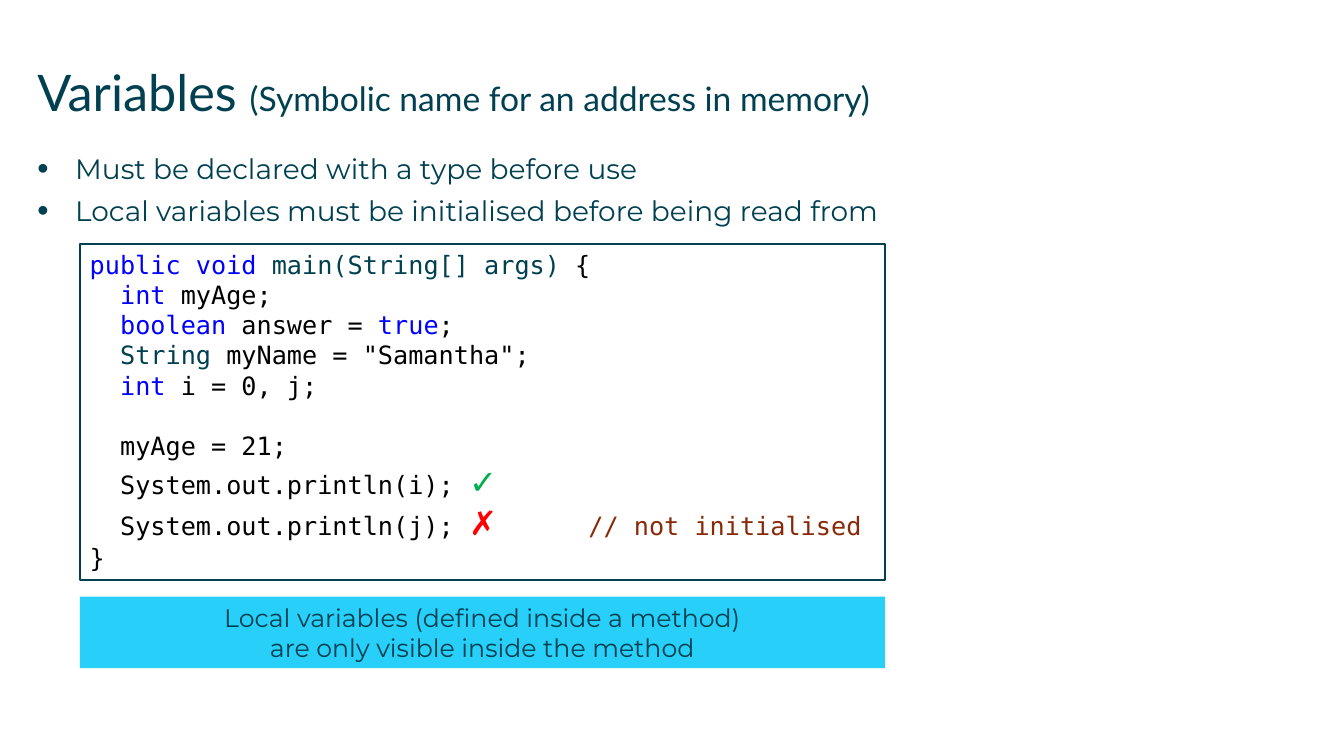
"""Build a slide on declaring and initialising variables in Java."""
from dataclasses import dataclass
from lxml import etree
from pptx import Presentation
from pptx import util as u
from pptx.dml import color
from pptx.enum import shapes, text
from pptx.oxml import ns

HUES = {"ink": "004050", "key": "0000FF", "code": "000000", "good": "00B050",
        "bad": "FF0000", "note": "882A08", "paper": "FFFFFF", "sky": "28CFF9"}
MONO, SIGN, SANS = "DejaVu Sans Mono", "Noto Sans Mono", "Montserrat"


@dataclass
class Bit:
    """A run of text with its format."""
    words: str
    hue: str = "code"
    size: float = 18
    font: str = MONO
    bold: bool = False


@dataclass
class Line:
    """A line of code with its indent, height and gap above."""
    bits: list[Bit]
    left: float = 21.68
    high: float = 21.6
    gap: float = 0


@dataclass
class Panel:
    """A rectangle given by top, height, fill and anchor."""
    top: float
    high: float
    fill: str
    anchor: text.MSO_ANCHOR


def tone(name: str) -> color.RGBColor:
    """Return the named colour."""
    return color.RGBColor.from_string(HUES[name])


def write(para, words: str, *, hue: str = "code", size: float = 18,
          font: str = MONO, bold: bool = False) -> None:
    """Add formatted text to a paragraph."""
    for at, part in enumerate(words.split("\n")):
        if at:
            para.add_line_break()
        run = para.add_run()
        run.text = part
        run.font.name, run.font.size, run.font.bold = font, u.Pt(size), bold
        run.font.color.rgb = tone(hue)


def add(para, tag: str, **attrs: str):
    """Append an element to the paragraph properties."""
    return etree.SubElement(para._p.get_or_add_pPr(), ns.qn(tag), attrs)


def place(item, left: float, top: float, wide: float, high: float) -> None:
    """Set the position and size of a shape."""
    item.left, item.top = u.Pt(left), u.Pt(top)
    item.width, item.height = u.Pt(wide), u.Pt(high)


def frame(item, anchor: text.MSO_ANCHOR, side: float = 0, edge: float = 0):
    """Set up the text frame of a shape and return it."""
    body = item.text_frame
    body.word_wrap, body.auto_size = True, text.MSO_AUTO_SIZE.NONE
    body.vertical_anchor = anchor
    body.margin_left = body.margin_right = u.Pt(side)
    body.margin_top = body.margin_bottom = u.Pt(edge)
    return body


def paras(body, count: int) -> list:
    """Return the given number of paragraphs in a text frame."""
    return [body.paragraphs[0]] + [body.add_paragraph() for _ in range(count - 1)]


def box(slide, panel: Panel):
    """Draw a panel and return it."""
    item = slide.shapes.add_shape(shapes.MSO_SHAPE.RECTANGLE, 0, 0, 0, 0)
    place(item, 57, panel.top, 575, panel.high)
    item.shadow.inherit = False
    item.fill.solid()
    item.fill.fore_color.rgb = tone(panel.fill)
    item.line.fill.background()
    frame(item, panel.anchor, 7.2, 3.6)
    return item


def key(words: str) -> Bit:
    """Return a Java keyword."""
    return Bit(words, "key")


def mark(sign: str, hue: str) -> Bit:
    """Return a tick or a cross."""
    return Bit(sign, hue, 24, SIGN, True)


CODE = [
    Line([key("public void "), Bit("main(String[] args) ", "ink"), Bit("{")], left=0),
    Line([key("int "), Bit("myAge;")]),
    Line([key("boolean "), Bit("answer = "), key("true"), Bit(";")]),
    Line([Bit("String ", "ink"), Bit('myName = "Samantha";')]),
    Line([key("int "), Bit("i = 0, j;")]),
    Line([Bit("myAge = 21;")], gap=21.6),
    Line([Bit("System.out.println(i); "), mark("✓", "good")], high=29.3),
    Line([Bit("System.out.println(j); "), mark("✗", "bad"),
          Bit("\t// not initialised", "note")], high=29.3),
    Line([Bit("}")], left=0),
]
RULES = ["Must be declared with a type before use",
         "Local variables must be initialised before being read from"]


def head(slide) -> None:
    """Fill the title."""
    item = slide.shapes.title
    place(item, 26.64, 44, 907, 63)
    para = frame(item, text.MSO_ANCHOR.TOP).paragraphs[0]
    para.alignment = text.PP_ALIGN.LEFT
    write(para, "Variables ", hue="ink", size=36, font="Lato")
    write(para, "(Symbolic name for an address in memory)", hue="ink", size=24, font="Lato")


def rules(slide) -> None:
    """Fill the bulleted list."""
    item = slide.placeholders[1]
    place(item, 26.64, 108, 907, 89)
    body = frame(item, text.MSO_ANCHOR.TOP)
    for para, words in zip(paras(body, len(RULES)), RULES):
        para.space_before, para.space_after = u.Pt(0), u.Pt(6.5)
        props = para._p.get_or_add_pPr()
        props.set("marL", str(u.Pt(27)))
        props.set("indent", str(u.Pt(-27)))
        add(para, "a:buSzPct", val="115000")
        add(para, "a:buFont", typeface="Arial")
        add(para, "a:buChar", char="•")
        write(para, words, hue="ink", size=20, font=SANS)


def code(slide) -> None:
    """Draw the framed code."""
    item = box(slide, Panel(174.24, 240, "paper", text.MSO_ANCHOR.TOP))
    item.line.color.rgb, item.line.width = tone("ink"), u.Pt(1.5)
    for para, line in zip(paras(item.text_frame, len(CODE)), CODE):
        para.alignment = text.PP_ALIGN.LEFT
        para.line_spacing, para.space_before = u.Pt(line.high), u.Pt(line.gap)
        para._p.get_or_add_pPr().set("marL", str(u.Pt(line.left)))
        tabs = add(para, "a:tabLst")
        etree.SubElement(tabs, ns.qn("a:tab"), pos=str(u.Pt(334.5)), algn="l")
        for bit in line.bits:
            write(para, bit.words, hue=bit.hue, size=bit.size, font=bit.font, bold=bit.bold)


def scope(slide) -> None:
    """Draw the remark on scope."""
    item = box(slide, Panel(426.24, 51, "sky", text.MSO_ANCHOR.MIDDLE))
    para = item.text_frame.paragraphs[0]
    para.alignment = text.PP_ALIGN.CENTER
    write(para, "Local variables (defined inside a method)\nare only visible inside the method",
          hue="ink", font=SANS)


def main() -> None:
    """Build and save the slide."""
    deck = Presentation()
    deck.slide_width, deck.slide_height = u.Pt(960), u.Pt(540)
    slide = deck.slides.add_slide(deck.slide_layouts[1])
    for draw in (head, rules, code, scope):
        draw(slide)
    deck.save("out.pptx")


if __name__ == "__main__":
    main()
